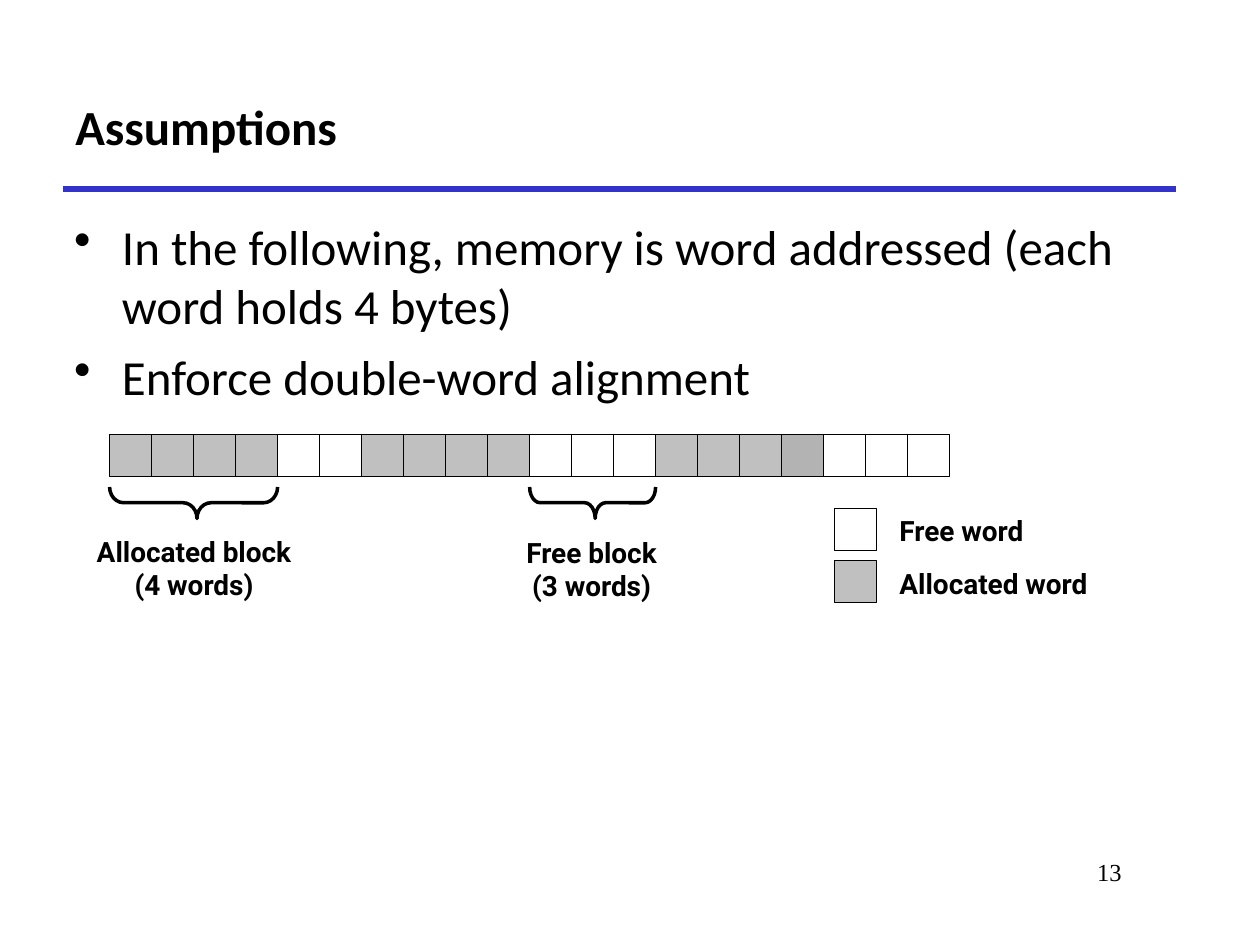
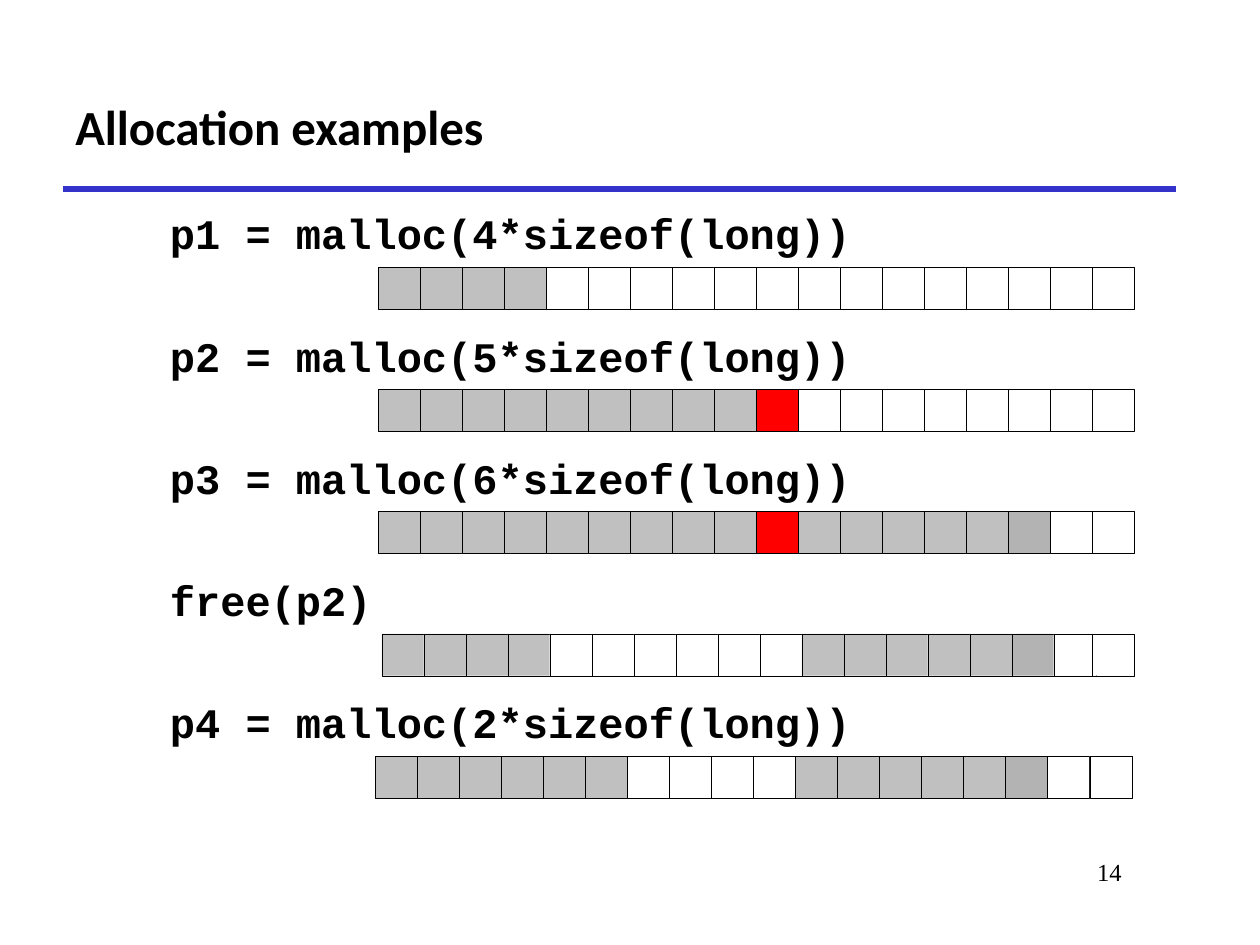
"""Build two slides on memory allocation from rows of word cells."""
from dataclasses import dataclass
from typing import NamedTuple

from lxml.etree import SubElement
from pptx import Presentation
from pptx.dml.color import RGBColor as RGB
from pptx.enum.shapes import MSO_CONNECTOR as Link, MSO_SHAPE as Kind
from pptx.enum.text import MSO_ANCHOR as Anchor, MSO_AUTO_SIZE as Fit, PP_ALIGN as Align
from pptx.oxml.ns import qn
from pptx.presentation import Presentation as Deck
from pptx.shapes.shapetree import _BaseGroupShapes as Shapes
from pptx.slide import Slide
from pptx.util import Inches, Pt


class Style(NamedTuple):
    name: str
    size: int
    bold: bool = False


class Box(NamedTuple):
    left: float
    top: float
    width: float
    height: float


@dataclass(frozen=True)
class Theme:
    ink: RGB = RGB(0, 0, 0)
    rule: RGB = RGB(0x33, 0x33, 0xCC)
    free: RGB = RGB(0xFF, 0xFF, 0xFF)
    used: RGB = RGB(0xC0, 0xC0, 0xC0)
    dark: RGB = RGB(0xB3, 0xB3, 0xB3)
    pad: RGB = RGB(0xFF, 0, 0)
    title: Style = Style("Calibri", 28, True)
    body: Style = Style("Calibri", 28)
    label: Style = Style("Roboto", 16, True)
    code: Style = Style("Courier New", 24, True)
    page: Style = Style("Times New Roman", 14)


class Brace(NamedTuple):
    first: int
    count: int
    bend: float
    label: Box
    lines: list[str]


class Key(NamedTuple):
    top: float
    mark: str
    width: float
    text: str


class Step(NamedTuple):
    code: str
    left: float
    words: str
    width: float = 5.65
    last: float = 8.67


THEME = Theme()
CELL = 1 / 3
FILLS = {"u": THEME.used, "f": THEME.free, "d": THEME.dark, "p": THEME.pad}

ROW_LEFT, ROW_TOP = 0.87, 3.45
WORDS = "uuuuffuuuufffuuudfff"
BRACES = [
    Brace(0, 4, 0.444, Box(0.62, 4.19, 1.84, 0.64), ["Allocated block", "(4 words)"]),
    Brace(10, 3, 0.333, Box(4.04, 4.2, 1.31, 0.64), ["Free block", "(3 words)"]),
]
KEYS = [Key(4.03, "f", 1.27, "Free word"), Key(4.45, "u", 1.8, "Allocated word")]
POINTS = [
    "In the following, memory is word addressed (each word holds 4 bytes)",
    "Enforce double-word alignment",
]

STEP_TOP, STEP_GAP, CODE_RISE = 2.12, 0.97, 0.52
STEPS = [
    Step("p1 = malloc(4*sizeof(long))", 3, "uuuu" + "f" * 13),
    Step("p2 = malloc(5*sizeof(long))", 3, "u" * 9 + "p" + "f" * 7),
    Step("p3 = malloc(6*sizeof(long))", 3, "u" * 9 + "p" + "uuuuudf"),
    Step("free(p2)", 3.03, "uuuuffffffuuuuudf", width=1.81),
    Step("p4 = malloc(2*sizeof(long))", 2.98, "uuuuuuffffuuuuudf", last=8.65),
]


def add_text(slide: Slide, box: Box, lines: list[str], style: Style, align: Align = Align.LEFT,
             anchor: Anchor = Anchor.TOP, wrap: bool = True, mark: str = "") -> None:
    """Place lines of text in one style, with a bullet mark if given."""
    frame = slide.shapes.add_textbox(*map(Inches, box)).text_frame
    form = {"word_wrap": wrap, "vertical_anchor": anchor,
            "auto_size": Fit.NONE if wrap else Fit.SHAPE_TO_FIT_TEXT}
    for key, value in form.items():
        setattr(frame, key, value)
    looks = {"name": style.name, "size": Pt(style.size), "bold": style.bold}
    for place, line in enumerate(lines):
        para = frame.add_paragraph() if place else frame.paragraphs[0]
        para.alignment = align
        if mark:
            props = para._p.get_or_add_pPr()
            props.set("marL", str(Inches(0.38)))
            props.set("indent", str(-Inches(0.38)))
            SubElement(props, qn("a:buChar"), char=mark)
            if place:
                para.space_before = Pt(7)
        run = para.add_run()
        run.text = line
        for key, value in looks.items():
            setattr(run.font, key, value)
        run.font.color.rgb = THEME.ink


def add_cell(shapes: Shapes, left: float, top: float, mark: str) -> None:
    """Draw one memory word."""
    cell = shapes.add_shape(Kind.RECTANGLE, *map(Inches, (left, top, CELL, CELL)))
    cell.shadow.inherit = False
    cell.fill.solid()
    cell.fill.fore_color.rgb = FILLS[mark]
    cell.line.color.rgb = THEME.ink
    cell.line.width = Pt(0.25)


def add_row(slide: Slide, left: float, top: float, words: str) -> None:
    """Draw a grouped row of memory words."""
    group = slide.shapes.add_group_shape()
    for place, mark in enumerate(words):
        add_cell(group.shapes, left + place * CELL, top, mark)


def add_brace(slide: Slide, brace: Brace) -> None:
    """Draw a brace under a block of words, with its label."""
    span, depth = brace.count * CELL, 0.25
    mid = ROW_LEFT + (brace.first + brace.count / 2) * CELL
    box = (mid - depth / 2, 3.99 - span / 2, depth, span)
    shape = slide.shapes.add_shape(Kind.RIGHT_BRACE, *map(Inches, box))
    shape.rotation = 90
    shape.shadow.inherit = False
    shape.adjustments[0], shape.adjustments[1] = brace.bend, 0.48
    shape.fill.background()
    shape.line.color.rgb = THEME.ink
    shape.line.width = Pt(2)
    add_text(slide, brace.label, brace.lines, THEME.label, Align.CENTER, wrap=False)


def add_slide(deck: Deck, title: str, page: int) -> Slide:
    """Add a slide with the shared rule, title and page number."""
    slide = deck.slides.add_slide(deck.slide_layouts[6])
    rule = slide.shapes.add_connector(Link.STRAIGHT, *map(Inches, (0.5, 1.5, 9.33, 1.5)))
    rule.line.color.rgb = THEME.rule
    rule.line.width = Pt(3)
    SubElement(rule._element.spPr, qn("a:effectLst"))
    add_text(slide, Box(0.5, 0.5, 8.83, 1), [title], THEME.title, anchor=Anchor.MIDDLE)
    add_text(slide, Box(7.58, 6.75, 1.42, 0.5), [str(page)], THEME.page, Align.RIGHT)
    return slide


def draw_terms(deck: Deck) -> None:
    """Draw the slide of assumptions."""
    slide = add_slide(deck, "Assumptions", 13)
    add_text(slide, Box(0.49, 1.67, 9.03, 5.33), POINTS, THEME.body, mark="•")
    add_row(slide, ROW_LEFT, ROW_TOP, WORDS)
    for brace in BRACES:
        add_brace(slide, brace)
    for key in KEYS:
        add_cell(slide.shapes, 6.62, key.top, key.mark)
        add_text(slide, Box(7.04, key.top, key.width, 0.37), [key.text], THEME.label, wrap=False)


def draw_steps(deck: Deck) -> None:
    """Draw the slide of allocation steps."""
    slide = add_slide(deck, "Allocation examples", 14)
    for place, step in enumerate(STEPS):
        top = STEP_TOP + place * STEP_GAP
        add_text(slide, Box(1.25, top - CODE_RISE, step.width, 0.51), [step.code],
                 THEME.code, wrap=False)
        add_row(slide, step.left, top, step.words)
        add_cell(slide.shapes, step.last, top, "f")


def main() -> None:
    """Build and save the deck."""
    deck = Presentation()
    deck.slide_width, deck.slide_height = Inches(10), Inches(7.5)
    draw_terms(deck)
    draw_steps(deck)
    deck.save("out.pptx")


if __name__ == "__main__":
    main()
